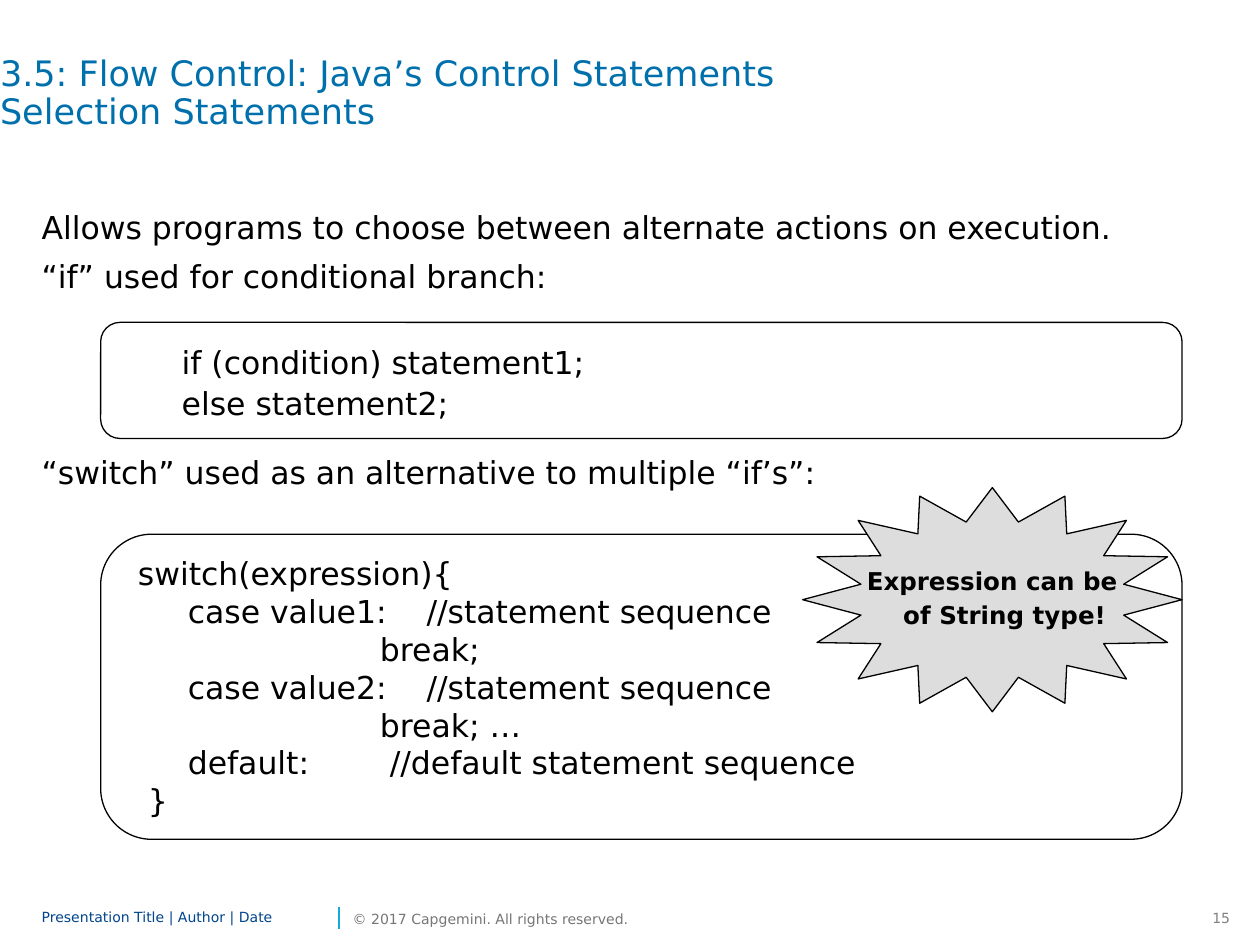
import pptx
import pptx.dml.color
import pptx.enum.shapes
import pptx.enum.text
import pptx.oxml.ns
import pptx.util
from lxml import etree

Cm = pptx.util.Cm
Pt = pptx.util.Pt
RGBColor = pptx.dml.color.RGBColor
Anchor = pptx.enum.text.MSO_ANCHOR
Align = pptx.enum.text.PP_ALIGN
Shape = pptx.enum.shapes.MSO_SHAPE
qn = pptx.oxml.ns.qn

BLACK = RGBColor(0x00, 0x00, 0x00)
TITLE_BLUE = RGBColor(0x00, 0x70, 0xAD)
FOOTER_BLUE = RGBColor(0x00, 0x45, 0x8D)
CYAN = RGBColor(0x12, 0xAB, 0xDB)
NUMBER_GRAY = RGBColor(0x80, 0x80, 0x80)
COPYRIGHT_GRAY = RGBColor(0x76, 0x76, 0x76)
STAR_GRAY = RGBColor(0xDD, 0xDD, 0xDD)


class SlideBuilder:
    font_name = "DejaVu Sans"

    def __init__(self, deck):
        self.slide = deck.slides.add_slide(deck.slide_layouts[5])

    def place(self, box, area):
        box.left, box.top, box.width, box.height = (Cm(length) for length in area)

    def frame(self, box, anchor, inset=True, wrap=True):
        frame = box.text_frame
        frame.auto_size = pptx.enum.text.MSO_AUTO_SIZE.NONE
        frame.word_wrap = wrap
        frame.vertical_anchor = anchor
        if not inset:
            frame.margin_left = frame.margin_right = 0
            frame.margin_top = frame.margin_bottom = 0
        return frame

    def add_lines(self, frame, lines, size, color=BLACK, bold=False,
                  align=Align.LEFT, spacing=1.0, after=0):
        for index, line in enumerate(lines):
            text, options = line if isinstance(line, tuple) else (line, {})
            para = frame.paragraphs[0] if index == 0 else frame.add_paragraph()
            para.alignment = align
            para.line_spacing = spacing
            para.space_before = Pt(options.get("before", 0))
            para.space_after = Pt(after)
            properties = para._p.get_or_add_pPr()
            if "indent" in options:
                properties.set("marL", str(Cm(options["indent"])))
                properties.set("indent", "0")
            if "tab" in options:
                stops = etree.SubElement(properties, qn("a:tabLst"))
                etree.SubElement(stops, qn("a:tab"), pos=str(Cm(options["tab"])), algn="l")
            for part_index, part in enumerate(text.split("\n")):
                if part_index:
                    para.add_line_break()
                span = para.add_run()
                span.text = part
                span.font.name = self.font_name
                span.font.size = Pt(size)
                span.font.bold = bold
                span.font.color.rgb = color

    def title(self, area, text):
        box = self.slide.shapes.title
        self.place(box, area)
        self.add_lines(self.frame(box, Anchor.TOP, inset=False), [text], 20,
                       TITLE_BLUE, spacing=0.9)

    def text(self, area, lines, size, color=BLACK, anchor=Anchor.MIDDLE,
             inset=False, wrap=True, **style):
        box = self.slide.shapes.add_textbox(*(Cm(length) for length in area))
        self.add_lines(self.frame(box, anchor, inset, wrap), lines, size, color, **style)

    def shape(self, kind, area, adjustment, lines, size, fill=None, wrap=True, **style):
        box = self.slide.shapes.add_shape(kind, *(Cm(length) for length in area))
        box.adjustments[0] = adjustment
        box.shadow.inherit = False
        if fill is None:
            box.fill.background()
        else:
            box.fill.solid()
            box.fill.fore_color.rgb = fill
        box.line.color.rgb = BLACK
        box.line.width = Pt(0.75)
        self.add_lines(self.frame(box, Anchor.MIDDLE, wrap=wrap), lines, size, **style)

    def line(self, start, end, color, width):
        connector = self.slide.shapes.add_connector(
            pptx.enum.shapes.MSO_CONNECTOR.STRAIGHT,
            *(Cm(length) for length in start + end))
        connector.line.color.rgb = color
        connector.line.width = Pt(width)
        etree.SubElement(connector._element.spPr, qn("a:effectLst"))


def main():
    deck = pptx.Presentation()
    deck.slide_width = Cm(25.4)
    deck.slide_height = Cm(19.05)
    page = SlideBuilder(deck)

    page.text((24.05, 18.21, 1, 0.61), ["15"], 8, NUMBER_GRAY, Anchor.TOP,
              inset=True, wrap=False, align=Align.RIGHT)
    page.line((6.83, 18.72), (6.83, 18.29), CYAN, 1)
    page.text((0.84, 18.21, 5.9, 0.61), ["Presentation Title | Author | Date"],
              8, FOOTER_BLUE, spacing=0.85)
    page.text((7.11, 18.21, 5.6, 0.61), ["© 2017 Capgemini. All rights reserved."],
              8, COPYRIGHT_GRAY)

    page.title((0, 1.14, 23.7, 2.39),
               "3.5: Flow Control: Java’s Control Statements\nSelection Statements")
    page.text((0.84, 4.17, 24.56, 12.9), [
        "Allows programs to choose between alternate actions on execution.",
        "“if” used for conditional branch:",
        ("“switch” used as an alternative to multiple “if’s”:", {"before": 84}),
    ], 18, anchor=Anchor.TOP, spacing=Pt(22), after=6)

    page.shape(Shape.ROUNDED_RECTANGLE, (2.03, 6.5, 21.8, 2.34), 0.167, [
        ("if (condition) statement1;", {"indent": 1.27}),
        ("else statement2;", {"indent": 1.27}),
    ], 18, spacing=1.1)
    page.shape(Shape.ROUNDED_RECTANGLE, (2.03, 10.77, 21.8, 6.15), 0.167, [
        " switch(expression){",
        ("      case value1:\t//statement sequence", {"tab": 6.02}),
        ("\tbreak;", {"tab": 5.08}),
        ("      case value2:\t//statement sequence", {"tab": 6.02}),
        ("\tbreak; …", {"tab": 5.08}),
        ("      default:\t//default statement sequence", {"tab": 5.28}),
        "  }",
    ], 18)
    page.shape(Shape.STAR_16_POINT, (16.18, 9.83, 7.65, 4.52), 0.353, [
        "Expression can be",
        ("of String type!", {"before": 4.2, "indent": 0.5}),
    ], 14, fill=STAR_GRAY, wrap=False, bold=True, align=Align.CENTER, spacing=0.9)

    deck.save("out.pptx")


if __name__ == "__main__":
    main()
